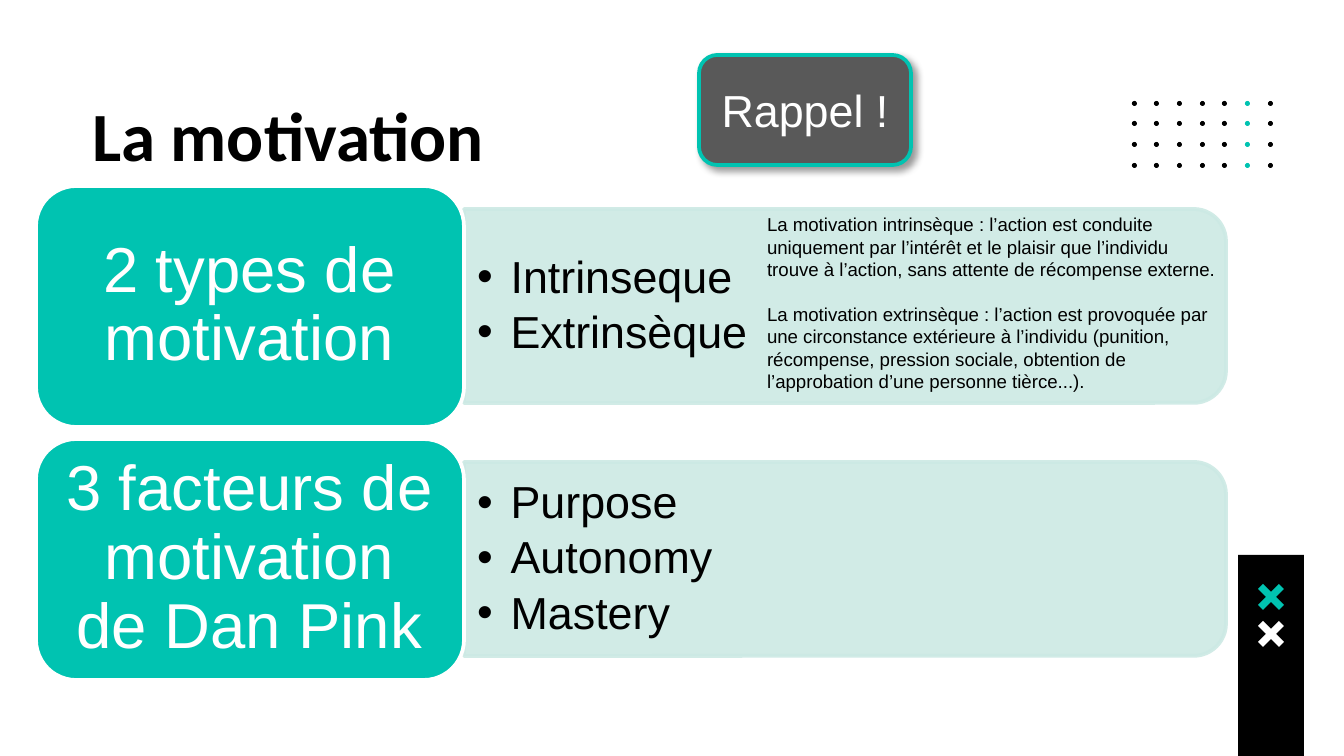
from lxml.etree import SubElement
from pptx import Presentation
from pptx.dml.color import RGBColor
from pptx.enum.shapes import MSO_SHAPE
from pptx.enum.text import MSO_ANCHOR, MSO_AUTO_SIZE, PP_ALIGN
from pptx.oxml.ns import qn
from pptx.util import Pt

EMU_PER_PX = 914400 / 134.4
BLACK = RGBColor(0x00, 0x00, 0x00)
WHITE = RGBColor(0xFF, 0xFF, 0xFF)
TEAL = RGBColor(0x00, 0xC3, 0xB1)
MINT = RGBColor(0xCC, 0xE9, 0xE4)
GREY = RGBColor(0x59, 0x59, 0x59)

CROSS = [(5, 0), (0, 5), (8, 13), (0, 21), (5, 26), (13, 18),
         (21, 26), (26, 21), (18, 13), (26, 5), (21, 0), (13, 8)]

ROW_TOP, ROW_PITCH = 186, 253
ROWS = [
    ("2 types de motivation", ["Intrinseque", "Extrinsèque"]),
    ("3 facteurs de motivation de Dan Pink", ["Purpose", "Autonomy", "Mastery"]),
]
DEFINITIONS = [
    "La motivation intrinsèque : l’action est conduite uniquement par l’intérêt et le plaisir "
    "que l’individu trouve à l’action, sans attente de récompense externe.",
    "La motivation extrinsèque : l’action est provoquée par une circonstance extérieure à "
    "l’individu (punition, récompense, pression sociale, obtention de l’approbation d’une "
    "personne tièrce...).",
]


def px(length):
    return round(length * EMU_PER_PX)


def write(frame, texts, size, color=BLACK, font="Arial", bold=False, align=PP_ALIGN.LEFT,
          anchor=MSO_ANCHOR.TOP, spacing=1.0, gap=0, inset=(13, 7), bullet=False):
    """Fill a text frame, one paragraph per text; gap is the points between them."""
    frame.word_wrap = True
    frame.auto_size = MSO_AUTO_SIZE.NONE
    frame.vertical_anchor = anchor
    frame.margin_left = frame.margin_right = px(inset[0])
    frame.margin_top = frame.margin_bottom = px(inset[1])
    for index, text in enumerate(texts):
        para = frame.paragraphs[0] if index == 0 else frame.add_paragraph()
        para.alignment = align
        para.line_spacing = spacing
        para.space_before = Pt(0)
        para.space_after = Pt(gap)
        if bullet:
            add_bullet(para)
        span = para.add_run()
        span.text = text
        span.font.name = font
        span.font.size = Pt(size)
        span.font.bold = bold
        span.font.color.rgb = color


def add_bullet(para):
    properties = para._p.get_or_add_pPr()
    properties.set("marL", "228600")
    properties.set("indent", "-228600")
    SubElement(properties, qn("a:buFont"), typeface="Arial")
    SubElement(properties, qn("a:buChar"), char="•")


def set_opacity(shape, percent):
    for color in shape._element.spPr.iter(qn("a:srgbClr")):
        SubElement(color, qn("a:alpha"), val=str(percent * 1000))


def add_drop_shadow(shape):
    effects = shape._element.spPr.find(qn("a:effectLst"))
    shadow = SubElement(effects, qn("a:outerShdw"), blurRad=str(Pt(4)), dist=str(Pt(3)),
                        dir="2700000", algn="tl", rotWithShape="0")
    color = SubElement(shadow, qn("a:srgbClr"), val="000000")
    SubElement(color, qn("a:alpha"), val="40000")


class SlideBuilder:
    def __init__(self, deck):
        self.page = deck.slides.add_slide(deck.slide_layouts[3])
        self.shapes = self.page.shapes

    def paint(self, shape, fill, line=None):
        shape.shadow.inherit = False
        shape.fill.solid()
        shape.fill.fore_color.rgb = fill
        if line is None:
            shape.line.fill.background()
        else:
            shape.line.color.rgb = line
            shape.line.width = Pt(2)
        return shape

    def shape(self, kind, left, top, width, height, fill, line=None):
        shape = self.shapes.add_shape(kind, px(left), px(top), px(width), px(height))
        return self.paint(shape, fill, line)

    def cross(self, left, top, fill):
        points = [(left + x, top + y) for x, y in CROSS]
        builder = self.shapes.build_freeform(*points[0], scale=EMU_PER_PX)
        builder.add_line_segments(points[1:], close=True)
        return self.paint(builder.convert_to_shape(), fill)

    def placeholder(self, index, left, top, width, height, texts, **style):
        """Place a layout placeholder in front of everything drawn so far."""
        box = self.page.placeholders[index]
        box.left, box.top, box.width, box.height = map(px, (left, top, width, height))
        self.shapes._spTree.append(box._element)
        write(box.text_frame, texts, **style)

    def text(self, left, top, width, height, texts, **style):
        box = self.shapes.add_textbox(px(left), px(top), px(width), px(height))
        write(box.text_frame, texts, **style)

    def panel(self, left, top, width, height):
        """Draw a box with rounded right corners: a top-rounded shape turned by 90 degrees."""
        offset = (width - height) // 2
        panel = self.shape(MSO_SHAPE.ROUND_2_SAME_RECTANGLE, left + offset, top - offset,
                           height, width, MINT, MINT)
        panel.rotation = 90
        set_opacity(panel, 90)

    def topic(self, top, index, heading, items):
        self.panel(464, top + 23, 762, 194)
        self.placeholder(index, 464, top + 33, 753, 175, items, size=24, spacing=0.9,
                         gap=3.6, anchor=MSO_ANCHOR.MIDDLE, bullet=True)
        self.shape(MSO_SHAPE.ROUNDED_RECTANGLE, 36, top, 428, 241, TEAL, WHITE)
        self.text(47, top + 11, 405, 218, [heading], size=34, color=WHITE,
                  align=PP_ALIGN.CENTER, anchor=MSO_ANCHOR.MIDDLE, spacing=0.9,
                  inset=(18, 9))


def main():
    deck = Presentation()
    deck.slide_width, deck.slide_height = px(1344), px(756)
    slide = SlideBuilder(deck)

    for row in range(4):
        for column in range(7):
            slide.shape(MSO_SHAPE.OVAL, 1132 + column * 136 // 6, 101 + row * 62 // 3, 5, 5,
                        TEAL if column == 5 else BLACK)
    slide.shape(MSO_SHAPE.RECTANGLE, 1238, 555, 66, 201, BLACK)
    slide.cross(1258, 584, TEAL)
    slide.cross(1258, 621, WHITE)

    slide.placeholder(0, 79, 79, 1191, 106, ["La motivation"], size=37, font="Calibri",
                      bold=True, inset=(13, 13))
    for row, (heading, items) in enumerate(ROWS):
        slide.topic(ROW_TOP + row * ROW_PITCH, row + 1, heading, items)
    slide.text(754, 206, 482, 195, DEFINITIONS, size=10, gap=12)

    reminder = slide.shape(MSO_SHAPE.ROUNDED_RECTANGLE, 699, 55, 212, 110, GREY, TEAL)
    add_drop_shadow(reminder)
    write(reminder.text_frame, ["Rappel !"], size=24, color=WHITE, align=PP_ALIGN.CENTER,
          anchor=MSO_ANCHOR.MIDDLE)
    deck.save("out.pptx")


if __name__ == "__main__":
    main()
